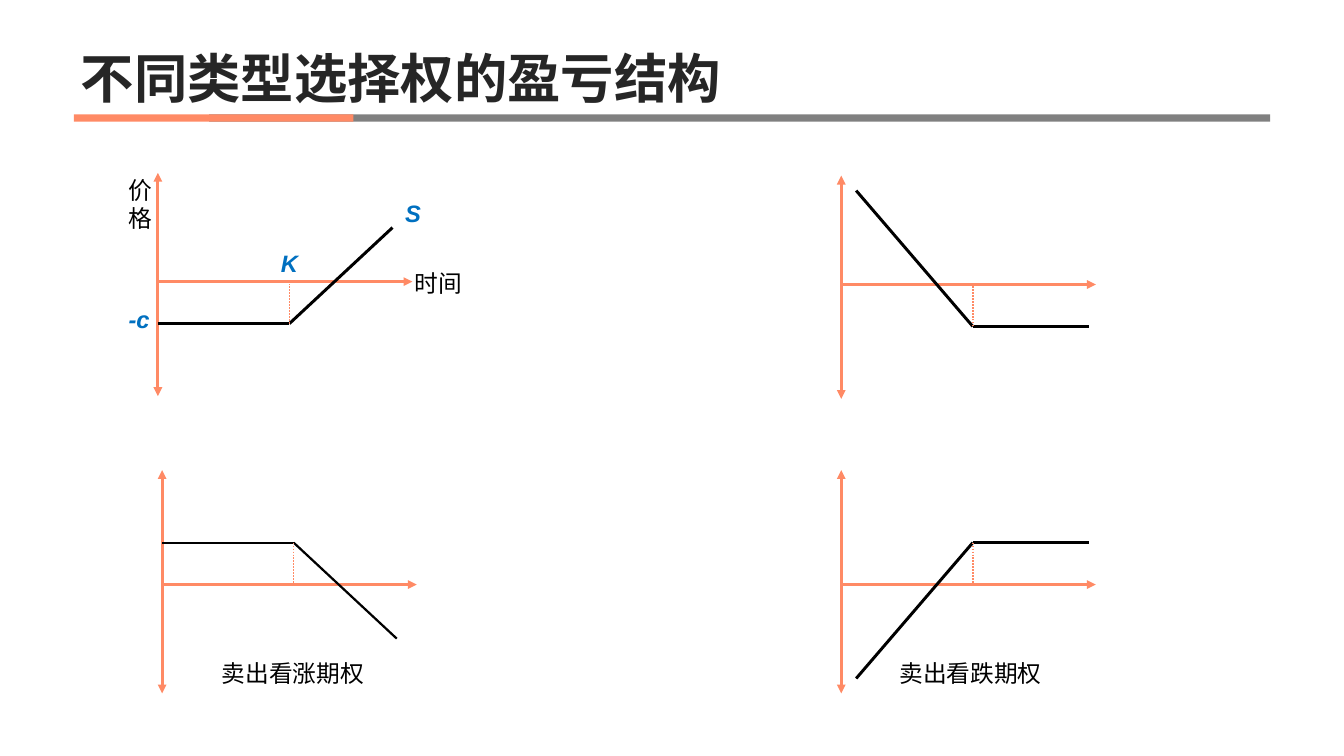
from lxml import etree
from pptx import Presentation
from pptx.dml.color import RGBColor
from pptx.enum import dml, shapes, text
from pptx.oxml import ns
from pptx.util import Inches, Pt

CORAL = RGBColor(0xFF, 0x8A, 0x65)
GREY = RGBColor(0x80, 0x80, 0x80)
DARK = RGBColor(0x26, 0x26, 0x26)
BLACK = RGBColor(0, 0, 0)
BLUE = RGBColor(0x00, 0x70, 0xC0)

AXIS_HEIGHT, AXIS_WIDTH = 3.14, 3.58
ZERO, PREMIUM, STRIKE = 1.53, 2.12, 1.85
CALL_ENDS = (0, PREMIUM), (3.3, 0.77)
PUT_ENDS = (0.21, 0.21), (3.49, PREMIUM)


def add_text(slide, box, words, size=24, color=BLACK, bold=False, italic=False,
             wrap=True, anchor=text.MSO_ANCHOR.TOP, spacing=None, grow=True):
    """Place a formatted text box at (left, top, width, height)."""
    shape = slide.shapes.add_textbox(*map(Inches, box))
    frame = shape.text_frame
    frame.word_wrap = wrap
    frame.vertical_anchor = anchor
    if grow:
        frame.auto_size = text.MSO_AUTO_SIZE.SHAPE_TO_FIT_TEXT
    paragraph = frame.paragraphs[0]
    if spacing:
        paragraph.line_spacing = spacing
    run = paragraph.add_run()
    run.text = words
    font = run.font
    font.name, font.size = "Arial", Pt(size)
    font.bold, font.italic = bold, italic
    font.color.rgb = color


def add_line(slide, start, end, color=BLACK, width=3, arrows=(), dotted=False):
    """Draw a straight line, with arrowheads at the named ends."""
    points = map(Inches, (*start, *end))
    connector = slide.shapes.add_connector(shapes.MSO_CONNECTOR.STRAIGHT, *points)
    connector.line.color.rgb = color
    connector.line.width = Pt(width)
    if dotted:
        connector.line.dash_style = dml.MSO_LINE.ROUND_DOT
    properties = connector.element.spPr
    outline = properties.find(ns.qn("a:ln"))
    for arrow in arrows:
        etree.SubElement(outline, ns.qn(f"a:{arrow}"), type="triangle")
    etree.SubElement(properties, ns.qn("a:effectLst"))


def add_bar(slide, box, color):
    """Draw a plain filled rectangle."""
    bar = slide.shapes.add_shape(shapes.MSO_SHAPE.RECTANGLE, *map(Inches, box))
    bar.shadow.inherit = False
    bar.fill.solid()
    bar.fill.fore_color.rgb = color
    bar.line.fill.background()


def add_header(slide, left, top, width, height):
    """Place the title above its two-coloured rule."""
    rule_top = top + height + 0.02
    add_bar(slide, (left + 1.9, rule_top, width - 1.9, 0.1), GREY)
    add_bar(slide, (left, rule_top, 3.93, 0.1), CORAL)
    add_text(slide, (left, top, width, height), "不同类型选择权的盈亏结构", size=54,
             color=DARK, bold=True, anchor=text.MSO_ANCHOR.BOTTOM, spacing=0.9, grow=False)


def add_payoff(slide, left, base, ends, direction=1, width=3):
    """Draw axes and a payoff line; direction -1 mirrors it upwards from base."""
    def at(x, y):
        """Turn chart offsets into a slide position."""
        return left + x, base + direction * y

    add_line(slide, at(0, 0), at(0, AXIS_HEIGHT), CORAL, arrows=("headEnd", "tailEnd"))
    add_line(slide, at(0, ZERO), at(AXIS_WIDTH, ZERO), CORAL, arrows=("tailEnd",))
    kink = at(STRIKE, PREMIUM)
    for end in ends:
        add_line(slide, kink, at(*end), width=width)
    add_line(slide, kink, at(STRIKE, ZERO), CORAL, 1.5, dotted=True)


def add_call_labels(slide, left, top):
    """Label the axes and the key values of the first payoff."""
    values = {"italic": True, "bold": True, "color": BLUE}
    add_text(slide, (left + 1.63, top + 1.02, 0.45, 0.5), "K", wrap=False, **values)
    add_text(slide, (left - 0.51, top + 1.81, 0.5, 0.5), "-c", wrap=False, **values)
    add_text(slide, (left + 3.38, top + 0.32, 0.43, 0.5), "S", **values)
    add_text(slide, (left - 0.51, top - 0.01, 0.43, 0.91), "价格")
    add_text(slide, (left + 3.51, top + 1.3, 1.45, 0.5), "时间")


def main():
    """Build and save the slide."""
    presentation = Presentation()
    presentation.slide_width, presentation.slide_height = Inches(18.9), Inches(10.63)
    slide = presentation.slides.add_slide(presentation.slide_layouts[6])
    add_header(slide, 1.04, 0, 16.82, 1.59)
    add_payoff(slide, 2.22, 2.43, CALL_ENDS)
    add_payoff(slide, 2.28, 9.75, CALL_ENDS, direction=-1, width=2.25)
    add_payoff(slide, 11.83, 2.47, PUT_ENDS)
    add_payoff(slide, 11.83, 9.75, PUT_ENDS, direction=-1)
    add_text(slide, (3.02, 9.21, 2.22, 0.5), "卖出看涨期权", wrap=False)
    add_text(slide, (12.55, 9.22, 2.22, 0.5), "卖出看跌期权", wrap=False)
    add_call_labels(slide, 2.22, 2.43)
    presentation.save("out.pptx")


if __name__ == "__main__":
    main()
